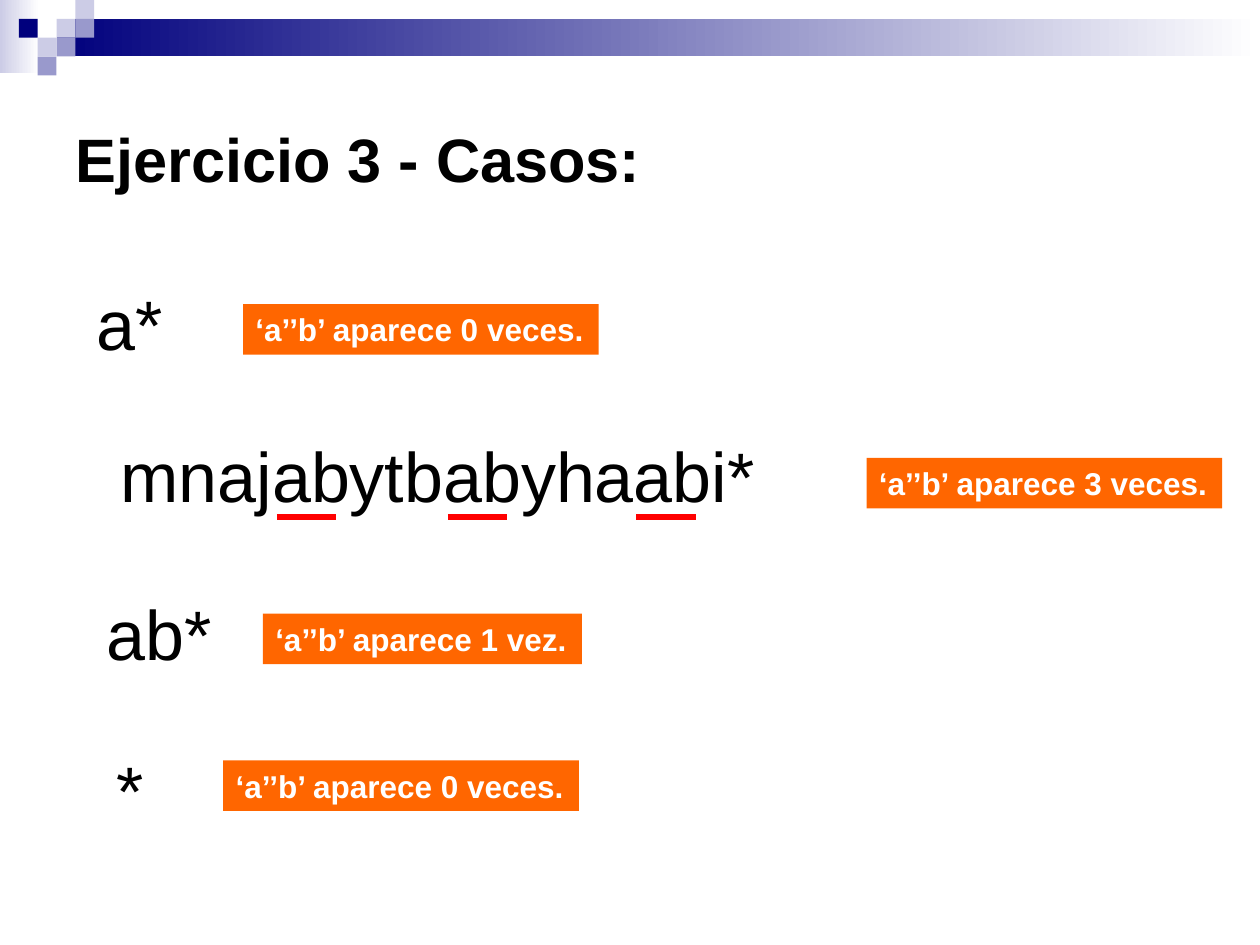
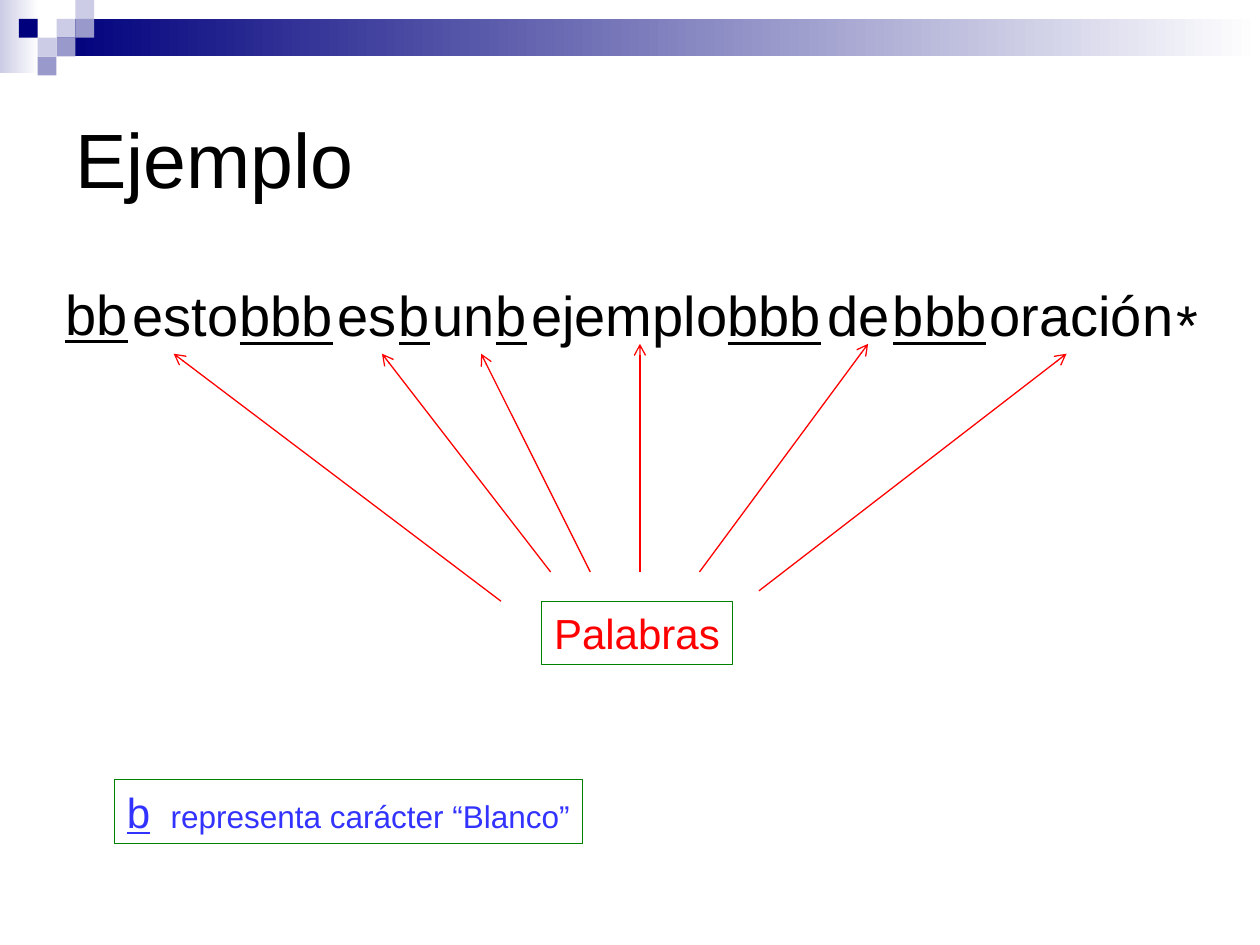
from typing import NamedTuple

from lxml import etree
from pptx import Presentation
from pptx import util as u
from pptx.dml.color import RGBColor
from pptx.enum import shapes, text
from pptx.oxml.ns import qn

FONT = "Arial"
BLACK, WHITE, RED = "000000", "FFFFFF", "FF0000"
NAVY, LILAC, MAUVE = "00007D", "CCCCE6", "9999CC"
ORANGE, GREEN, BLUE = "FF6600", "008000", "3333FF"
TITLE_ONLY = 5
CELL = 0.38  # side of one mosaic square, in cm


class Box(NamedTuple):
    """Left, top, width and height in centimetres."""
    x: float
    y: float
    w: float
    h: float

    def lengths(self) -> list:
        return [u.Cm(v) for v in self]


class Style(NamedTuple):
    size: float
    color: str = BLACK
    bold: bool = False
    underline: bool = False


class Case(NamedTuple):
    sequence: str
    sequence_box: Box
    result: str
    result_box: Box


class Word(NamedTuple):
    text: str
    x: float
    w: float
    y: float = 5.54


class Line(NamedTuple):
    x1: float
    y1: float
    x2: float
    y2: float


MOSAIC = {  # colour: (column, row) of its squares
    NAVY: [(1, 1)],
    LILAC: [(3, 1), (4, 0), (2, 2)],
    MAUVE: [(4, 1), (3, 2), (2, 3)],
}

CASES = [
    Case("a*", Box(1.7, 5.54, 2.21, 1.96),
         "‘a’’b’ aparece 0 veces.", Box(4.9, 6.13, 7.17, 1.02)),
    Case("mnajabytbabyhaabi*", Box(2.18, 8.59, 15, 1.96),
         "‘a’’b’ aparece 3 veces.", Box(17.47, 9.23, 7.17, 1.02)),
    Case("ab*", Box(1.9, 11.77, 3, 1.96),
         "‘a’’b’ aparece 1 vez.", Box(5.3, 12.37, 6.43, 1.02)),
    Case("*", Box(2.1, 14.93, 3, 1.96),
         "‘a’’b’ aparece 0 veces.", Box(4.5, 15.33, 7.17, 1.02)),
]
MATCH_MARKS = [Line(x, 10.42, x + 1.2, 10.42) for x in (5.58, 9.03, 12.83)]

WORDS = [
    Word("bb", 1.07, 2.08, 5.51), Word("esto", 2.42, 2.66),
    Word("bbb", 4.58, 2.39), Word("es", 6.55, 1.72),
    Word("b", 7.79, 1.16), Word("un", 8.46, 1.8),
    Word("b", 9.74, 1.16), Word("ejemplo", 10.46, 4.48),
    Word("bbb", 14.42, 2.4), Word("de", 16.43, 1.8),
    Word("bbb", 17.75, 2.4), Word("oración", 19.7, 4.24),
    Word("*", 23.47, 0.96, 5.72),
]
WORD_ARROWS = [
    Line(15.3, 11.91, 21.5, 7.13), Line(14.1, 11.53, 17.5, 6.93),
    Line(12.9, 11.53, 12.9, 6.93), Line(11.9, 11.53, 9.7, 7.13),
    Line(11.1, 11.53, 7.7, 7.13), Line(10.1, 12.12, 3.5, 7.13),
]


def rgb(color: str) -> RGBColor:
    return RGBColor.from_string(color)


def format_run(r, style: Style) -> None:
    f = r.font
    f.name, f.size = FONT, u.Pt(style.size)
    f.bold, f.underline = style.bold, style.underline
    f.color.rgb = rgb(style.color)


def write(sp, content: str, style: Style, wrap: bool = False) -> None:
    """Replace the text of a shape with one left-aligned run."""
    tf = sp.text_frame
    tf.text = content
    tf.word_wrap = wrap
    p = tf.paragraphs[0]
    p.alignment = text.PP_ALIGN.LEFT
    format_run(p.runs[0], style)


def add_text(slide, box: Box, content: str, style: Style, wrap: bool = False) -> None:
    write(slide.shapes.add_textbox(*box.lengths()), content, style, wrap)


def add_rect(slide, box: Box, fill: str = "", fade_to: str = "", line: str = ""):
    """Add a rectangle; a fade_to colour makes its fill a left-to-right gradient."""
    sp = slide.shapes.add_shape(shapes.MSO_SHAPE.RECTANGLE, *box.lengths())
    sp.shadow.inherit = False
    if fade_to:
        sp.fill.gradient()
        sp.fill.gradient_angle = 0
        for stop, color in zip(sp.fill.gradient_stops, (fill, fade_to)):
            stop.color.rgb = rgb(color)
    elif fill:
        sp.fill.solid()
        sp.fill.fore_color.rgb = rgb(fill)
    else:
        sp.fill.background()
    if line:
        sp.line.color.rgb = rgb(line)
        sp.line.width = u.Pt(0.75)
    else:
        sp.line.fill.background()
    return sp


def add_line(slide, line: Line, width: float, arrow: bool = False) -> None:
    c = slide.shapes.add_connector(
        shapes.MSO_CONNECTOR.STRAIGHT, *[u.Cm(v) for v in line])
    c.line.color.rgb = rgb(RED)
    c.line.width = u.Pt(width)
    if arrow:
        etree.SubElement(c.line._get_or_add_ln(), qn("a:tailEnd"), type="arrow")
    etree.SubElement(c._element.spPr, qn("a:effectLst"))


def move_band_to_layout(slide, layout) -> None:
    """Draw the top band and mosaic, then hand them to the shared layout."""
    for ph in list(layout.placeholders):
        if ph.placeholder_format.type != shapes.PP_PLACEHOLDER.TITLE:
            ph._element.getparent().remove(ph._element)
    band = [
        add_rect(slide, Box(0, 0, 0.79, 1.47), LILAC, fade_to=WHITE),
        add_rect(slide, Box(1.14, CELL, 24.26, 2 * CELL), NAVY, fade_to=WHITE),
    ]
    for color, cells in MOSAIC.items():
        for col, row in cells:
            band.append(add_rect(slide, Box(col * CELL, row * CELL, CELL, CELL), color))
    for sp in band:
        layout.shapes.element.append(sp._element)


def add_slide(prs, title: str, style: Style):
    slide = prs.slides.add_slide(prs.slide_layouts[TITLE_ONLY])
    sp = slide.shapes.title
    sp.left, sp.top, sp.width, sp.height = Box(1.27, 1.27, 22.86, 3.81).lengths()
    write(sp, title, style, wrap=True)
    sp.text_frame.vertical_anchor = text.MSO_ANCHOR.MIDDLE
    return slide


def draw_cases(slide) -> None:
    for case in CASES:
        add_text(slide, case.sequence_box, case.sequence, Style(40), wrap=True)
        label = add_rect(slide, case.result_box, ORANGE)
        write(label, case.result, Style(18, WHITE, bold=True))
    for mark in MATCH_MARKS:
        add_line(slide, mark, 3)


def draw_sentence(slide) -> None:
    for word in WORDS:
        is_blank = set(word.text) == {"b"}
        add_text(slide, Box(word.x, word.y, word.w, 1.63), word.text,
                 Style(32, underline=is_blank))
    legend = add_rect(slide, Box(2.31, 15.72, 9.43, 1.28), line=GREEN)
    write(legend, "b", Style(24, BLUE, underline=True))
    p = legend.text_frame.paragraphs[0]
    for content, size in ((" ", 24), ("representa carácter “Blanco”", 18)):
        r = p.add_run()
        r.text = content
        format_run(r, Style(size, BLUE))
    p.runs[1]._r.get_or_add_rPr().set("spc", "500")  # widen the gap by 5 pt
    words_label = add_rect(slide, Box(10.92, 12.12, 3.85, 1.28), line=GREEN)
    write(words_label, "Palabras", Style(24, RED))
    for arrow in WORD_ARROWS:
        add_line(slide, arrow, 0.75, arrow=True)


def main() -> None:
    prs = Presentation()
    prs.slide_width, prs.slide_height = u.Cm(25.4), u.Cm(19.05)
    cases = add_slide(prs, "Ejercicio 3 - Casos:", Style(35, bold=True))
    move_band_to_layout(cases, cases.slide_layout)
    draw_cases(cases)
    draw_sentence(add_slide(prs, "Ejemplo", Style(44)))
    prs.save("out.pptx")


if __name__ == "__main__":
    main()
